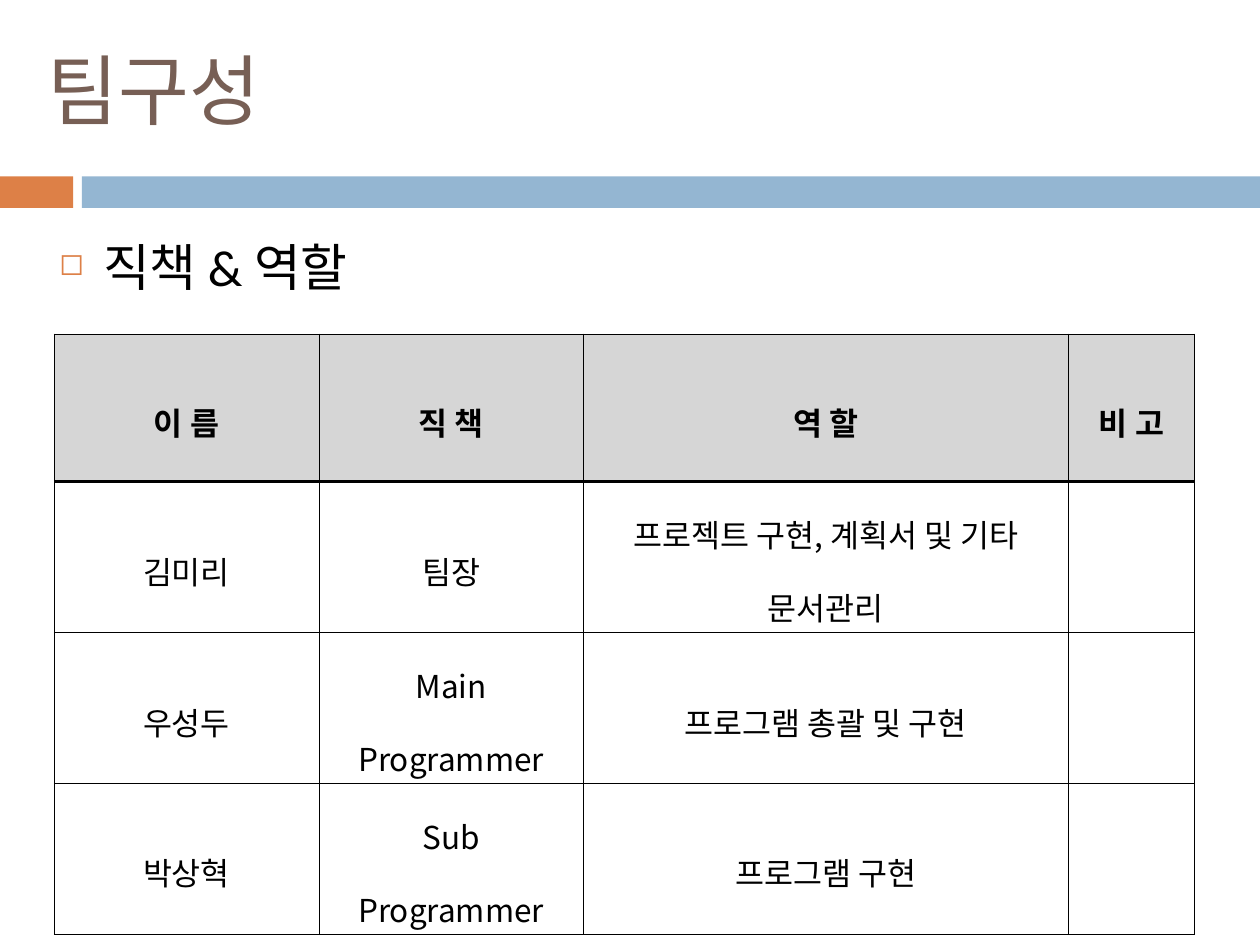
"""Builds the team organisation slide with its table of positions and roles."""
import lxml.etree
import pptx
import pptx.dml.color
import pptx.enum.shapes
import pptx.enum.text
import pptx.oxml.ns
import pptx.util

COLUMNS, ROWS = 100, 75
BLACK, BROWN, ORANGE, BLUE, GREY = "000000", "775F55", "DD8047", "94B6D2", "D6D6D6"
LATIN, KOREAN = "Calibri", "Noto Sans CJK KR"
THIN, THICK = 0.28, 1.98


def color(value):
    return pptx.dml.color.RGBColor.from_string(value)


def add_element(parent, tag, **attributes):
    element = lxml.etree.SubElement(parent, pptx.oxml.ns.qn(tag))
    for name, value in attributes.items():
        element.set(name, str(value))
    return element


class SlideBuilder:
    def __init__(self, presentation):
        self.slide = presentation.slides.add_slide(presentation.slide_layouts[5])
        self.column = presentation.slide_width / COLUMNS
        self.row = presentation.slide_height / ROWS

    def box(self, left, top, width, height):
        return (round(left * self.column), round(top * self.row),
                round(width * self.column), round(height * self.row))

    def add_text(self, paragraph, text, size, font, fill=BLACK, bold=False):
        run = paragraph.add_run()
        run.text = text
        run.font.size = pptx.util.Pt(size)
        run.font.name = font
        run.font.bold = bold
        run.font.color.rgb = color(fill)
        add_element(run.font._element, "a:ea", typeface=KOREAN)

    def title(self, text, *area):
        shape = self.slide.shapes.title
        shape.left, shape.top, shape.width, shape.height = self.box(*area)
        shape.text_frame.vertical_anchor = pptx.enum.text.MSO_ANCHOR.MIDDLE
        paragraph = shape.text_frame.paragraphs[0]
        paragraph.alignment = pptx.enum.text.PP_ALIGN.LEFT
        self.add_text(paragraph, text, 44, LATIN, BROWN)

    def bar(self, fill, *area):
        shape = self.slide.shapes.add_shape(
            pptx.enum.shapes.MSO_SHAPE.RECTANGLE, *self.box(*area))
        shape.shadow.inherit = False
        shape.fill.solid()
        shape.fill.fore_color.rgb = color(fill)
        shape.line.fill.background()

    def bullet(self, text, *area):
        shape = self.slide.shapes.add_textbox(*self.box(*area))
        shape.text_frame.word_wrap = True
        paragraph = shape.text_frame.paragraphs[0]
        paragraph.space_before = pptx.util.Pt(7)
        properties = paragraph._p.get_or_add_pPr()
        indent = pptx.util.Inches(0.35)
        properties.set("marL", str(indent))
        properties.set("indent", str(-indent))
        bullet_color = add_element(properties, "a:buClr")
        add_element(bullet_color, "a:srgbClr", val=ORANGE)
        add_element(properties, "a:buSzPct", val=60000)
        add_element(properties, "a:buChar", char="◻")
        self.add_text(paragraph, text, 29, LATIN)

    def borders(self, cell, top, bottom):
        properties = cell._tc.get_or_add_tcPr()
        for side, width in zip("LRTB", (THIN, THIN, top, bottom)):
            line = add_element(properties, f"a:ln{side}", w=pptx.util.Pt(width))
            fill = add_element(line, "a:solidFill")
            add_element(fill, "a:srgbClr", val=BLACK)

    def cell(self, cell, text, header, top, bottom):
        cell.margin_left = cell.margin_right = pptx.util.Inches(0.07)
        cell.margin_top = cell.margin_bottom = pptx.util.Inches(0.02)
        cell.vertical_anchor = pptx.enum.text.MSO_ANCHOR.MIDDLE
        self.borders(cell, top, bottom)
        if header:
            cell.fill.solid()
            cell.fill.fore_color.rgb = color(GREY)
        else:
            cell.fill.background()
        if text:
            paragraph = cell.text_frame.paragraphs[0]
            paragraph.alignment = pptx.enum.text.PP_ALIGN.CENTER
            paragraph.line_spacing = 1.6
            self.add_text(paragraph, text, 18, KOREAN, bold=header)

    def table(self, records, left, top, widths, heights):
        table = self.slide.shapes.add_table(
            len(heights), len(widths),
            *self.box(left, top, sum(widths), sum(heights))).table
        table.horz_banding = False
        table.first_row = False
        for column, width in zip(table.columns, widths):
            column.width = round(width * self.column)
        for row, height in zip(table.rows, heights):
            row.height = round(height * self.row)
        for index, record in enumerate(records):
            upper = THICK if index == 1 else THIN
            lower = THICK if index == 0 else THIN
            for position, text in enumerate(record):
                self.cell(table.cell(index, position), text, index == 0, upper, lower)


def main():
    presentation = pptx.Presentation()
    presentation.slide_width = pptx.util.Inches(10)
    presentation.slide_height = pptx.util.Inches(7.5)
    builder = SlideBuilder(presentation)
    builder.bar(ORANGE, 0, 14, 5.8, 2.5)
    builder.bar(BLUE, 6.5, 14, 93.5, 2.5)
    builder.title("팀구성", 2.8, 1.3, 89.2, 11.4)
    members = [
        ("이 름", "직 책", "역 할", "비 고"),
        ("김미리", "팀장", "프로젝트 구현, 계획서 및 기타 문서관리", ""),
        ("우성두", "Main Programmer", "프로그램 총괄 및 구현", ""),
        ("박상혁", "Sub Programmer", "프로그램 구현", ""),
    ]
    builder.table(members, 4.3, 26.5, (21, 21, 38.5, 10), (11.7, 9.2, 10.1, 10.1))
    builder.bullet("직책 & 역할", 3.7, 18.2, 41.9, 6.9)
    presentation.save("out.pptx")


if __name__ == "__main__":
    main()
